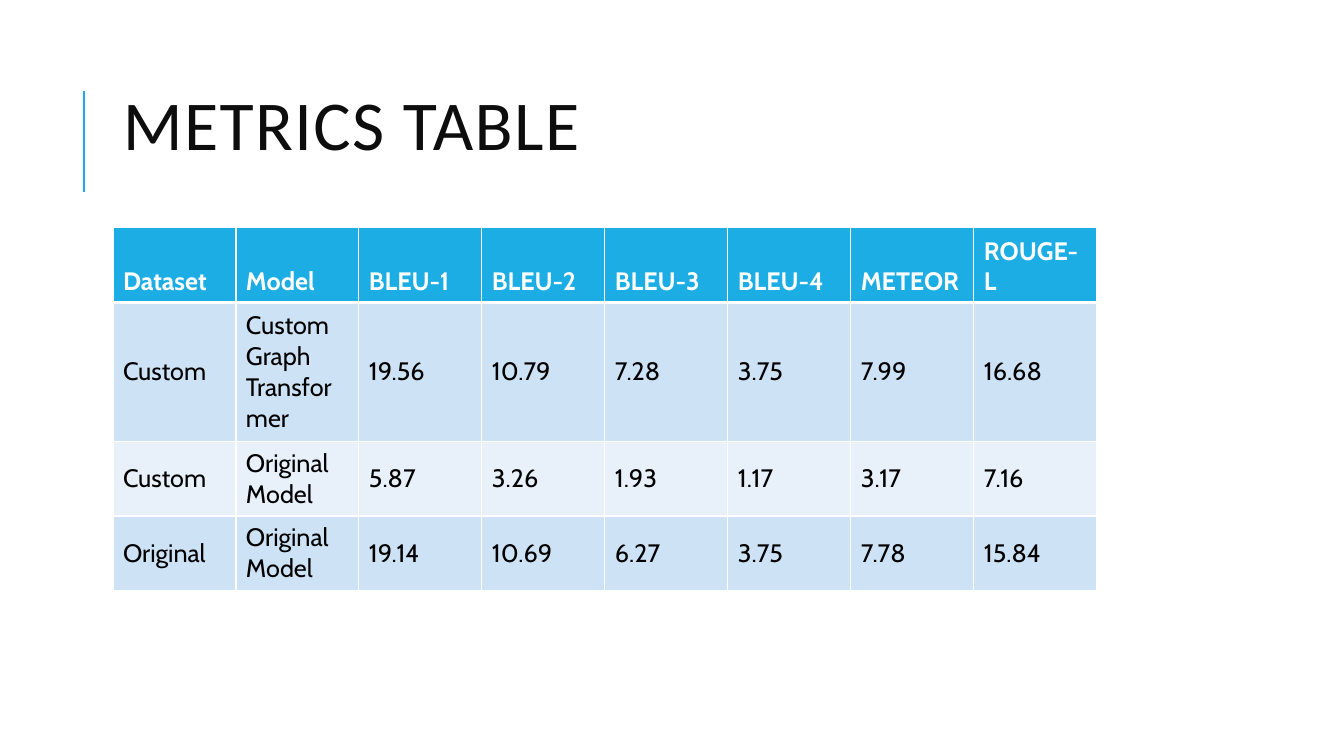
import pptx
import pptx.dml.color
import pptx.enum.shapes
import pptx.enum.text
import pptx.oxml.ns
import pptx.util
from lxml import etree

Inches = pptx.util.Inches
Pt = pptx.util.Pt
ANCHOR = pptx.enum.text.MSO_ANCHOR

COLORS = {
    "accent": "1CADE4",
    "title": "0D0D0D",
    "body": "000000",
    "white": "FFFFFF",
    "odd_row": "CDE3F5",
    "even_row": "E8F1FA",
}

METRICS = [
    ["Dataset", "Model", "BLEU-1", "BLEU-2", "BLEU-3", "BLEU-4", "METEOR", "ROUGE-L"],
    ["Custom", "Custom Graph Transformer", "19.56", "10.79", "7.28", "3.75", "7.99", "16.68"],
    ["Custom", "Original Model", "5.87", "3.26", "1.93", "1.17", "3.17", "7.16"],
    ["Original", "Original Model", "19.14", "10.69", "6.27", "3.75", "7.78", "15.84"],
]
ROW_HEIGHTS = [0.74, 1.38, 0.74, 0.74]
COLUMN_WIDTH = 1.22


def rgb(name):
    return pptx.dml.color.RGBColor.from_string(COLORS[name])


def add_run(paragraph, text, font, size, color, bold=False):
    run = paragraph.add_run()
    run.text = text
    run.font.name = font
    run.font.size = Pt(size)
    run.font.bold = bold
    run.font.color.rgb = rgb(color)
    return run


def add_accent_line(slide):
    accent = slide.shapes.add_connector(
        pptx.enum.shapes.MSO_CONNECTOR.STRAIGHT,
        Inches(0.83), Inches(1.9), Inches(0.83), Inches(0.9))
    accent.line.color.rgb = rgb("accent")
    accent.line.width = Pt(1.5)
    etree.SubElement(accent._element.spPr, pptx.oxml.ns.qn("a:effectLst"))


def add_title(slide, text):
    title = slide.shapes.add_textbox(Inches(1.12), Inches(0.47), Inches(10.63), Inches(1.64))
    frame = title.text_frame
    frame.word_wrap = True
    frame.vertical_anchor = ANCHOR.MIDDLE
    paragraph = frame.paragraphs[0]
    paragraph.line_spacing = 0.8
    run = add_run(paragraph, text, "Calibri", 50, "title")
    run.font._element.set("spc", "100")


def set_borders(cell, widths):
    """Draw white borders; widths maps each side (L, R, T, B) to points."""
    properties = cell._tc.get_or_add_tcPr()
    for side, width in widths.items():
        border = etree.SubElement(
            properties, pptx.oxml.ns.qn(f"a:ln{side}"), w=str(Pt(width)))
        fill = etree.SubElement(border, pptx.oxml.ns.qn("a:solidFill"))
        etree.SubElement(fill, pptx.oxml.ns.qn("a:srgbClr"), val=COLORS["white"])


def fill_cell(cell, text, row):
    header = row == 0
    set_borders(cell, {"L": 1, "R": 1, "T": 3 if row == 1 else 1, "B": 3 if header else 1})
    cell.fill.solid()
    cell.fill.fore_color.rgb = rgb("accent" if header else "odd_row" if row % 2 else "even_row")
    cell.vertical_anchor = ANCHOR.BOTTOM if header else ANCHOR.MIDDLE
    add_run(cell.text_frame.paragraphs[0], text, "Cabin", 18,
            "white" if header else "body", bold=header)


def add_metrics_table(slide):
    columns = len(METRICS[0])
    metrics = slide.shapes.add_table(
        len(METRICS), columns, Inches(1.12), Inches(2.26),
        Inches(COLUMN_WIDTH * columns), Inches(sum(ROW_HEIGHTS))).table
    for column in metrics.columns:
        column.width = Inches(COLUMN_WIDTH)
    for row, (values, height) in enumerate(zip(METRICS, ROW_HEIGHTS)):
        metrics.rows[row].height = Inches(height)
        for column, value in enumerate(values):
            fill_cell(metrics.cell(row, column), value, row)


def main():
    deck = pptx.Presentation()
    deck.slide_width = Inches(13.33)
    deck.slide_height = Inches(7.5)
    slide = deck.slides.add_slide(deck.slide_layouts[6])

    # Heading with its accent line
    add_accent_line(slide)
    add_title(slide, "METRICS TABLE")

    # Scores per dataset and model
    add_metrics_table(slide)

    deck.save("out.pptx")


if __name__ == "__main__":
    main()
